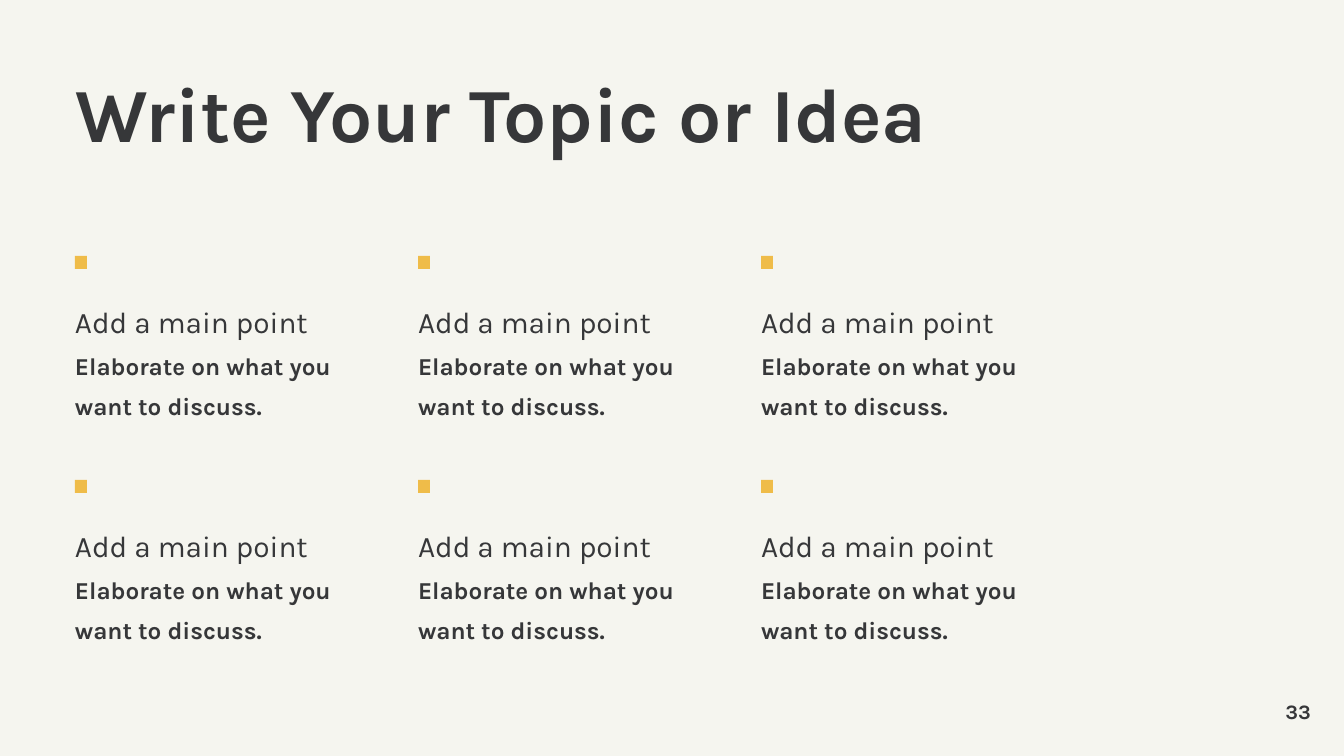
from itertools import product

from lxml.etree import SubElement
from pptx import Presentation
from pptx.dml.color import RGBColor
from pptx.enum.shapes import MSO_SHAPE as SHAPE
from pptx.enum.text import MSO_ANCHOR as ANCHOR, PP_ALIGN as ALIGN
from pptx.oxml.ns import qn
from pptx.util import Pt

PX = 914400 / 134.4
FONT, INK, ACCENT, PAPER = "Karla", "363739", "EFBC49", "F5F5EF"
COLUMNS = [75 + 343 * i for i in range(3)]
ROWS = [256, 480]
HEADING = "Add a main point"
DETAIL = "Elaborate on what you want to discuss."


def px(*values):
    return [round(v * PX) for v in values]


def paint(color_format, value):
    color_format.rgb = RGBColor.from_string(value)


def style(r, size, bold=False):
    r.font.name, r.font.size, r.font.bold = FONT, Pt(size), bold
    paint(r.font.color, INK)


def frame(sp, anchor=ANCHOR.TOP):
    tf = sp.text_frame
    tf.word_wrap = True
    tf.vertical_anchor = anchor
    tf.margin_left = tf.margin_top = tf.margin_right = tf.margin_bottom = 0
    return tf


def add_title(s, text):
    sp = s.shapes.title
    sp.left, sp.top, sp.width, sp.height = px(76, 76, 953, 106)
    p = frame(sp).paragraphs[0]
    p.text, p.alignment, p.line_spacing = text, ALIGN.LEFT, 0.9
    style(p.runs[0], 41, True)


def add_marker(s, x, y):
    sp = s.shapes.add_shape(SHAPE.RECTANGLE, *px(x, y, 12, 13))
    sp.shadow.inherit = False
    sp.fill.solid()
    paint(sp.fill.fore_color, ACCENT)
    sp.line.fill.background()


def add_point(s, x, y):
    p = frame(s.shapes.add_textbox(*px(x, y, 310, 141))).paragraphs[0]
    p.line_spacing = 1.4
    r = p.add_run()
    r.text = HEADING
    style(r, 16)
    p.add_line_break()
    SubElement(p._p[-1], qn("a:rPr"), sz="1600")
    r = p.add_run()
    r.text = DETAIL
    style(r, 13, True)


def add_page_number(s, text):
    sp = s.shapes.add_textbox(*px(1231, 698, 80, 27))
    p = frame(sp, ANCHOR.MIDDLE).paragraphs[0]
    p.text, p.alignment = text, ALIGN.RIGHT
    style(p.runs[0], 11, True)


def main():
    """Build a slide with a title and a grid of six marked points."""
    prs = Presentation()
    prs.slide_width, prs.slide_height = px(1344, 756)
    s = prs.slides.add_slide(prs.slide_layouts[5])
    s.background.fill.solid()
    paint(s.background.fill.fore_color, PAPER)
    add_title(s, "Write Your Topic or Idea")
    for y, x in product(ROWS, COLUMNS):
        add_marker(s, x, y)
        add_point(s, x, y + 33)
    add_page_number(s, "33")
    prs.save("out.pptx")


if __name__ == "__main__":
    main()
